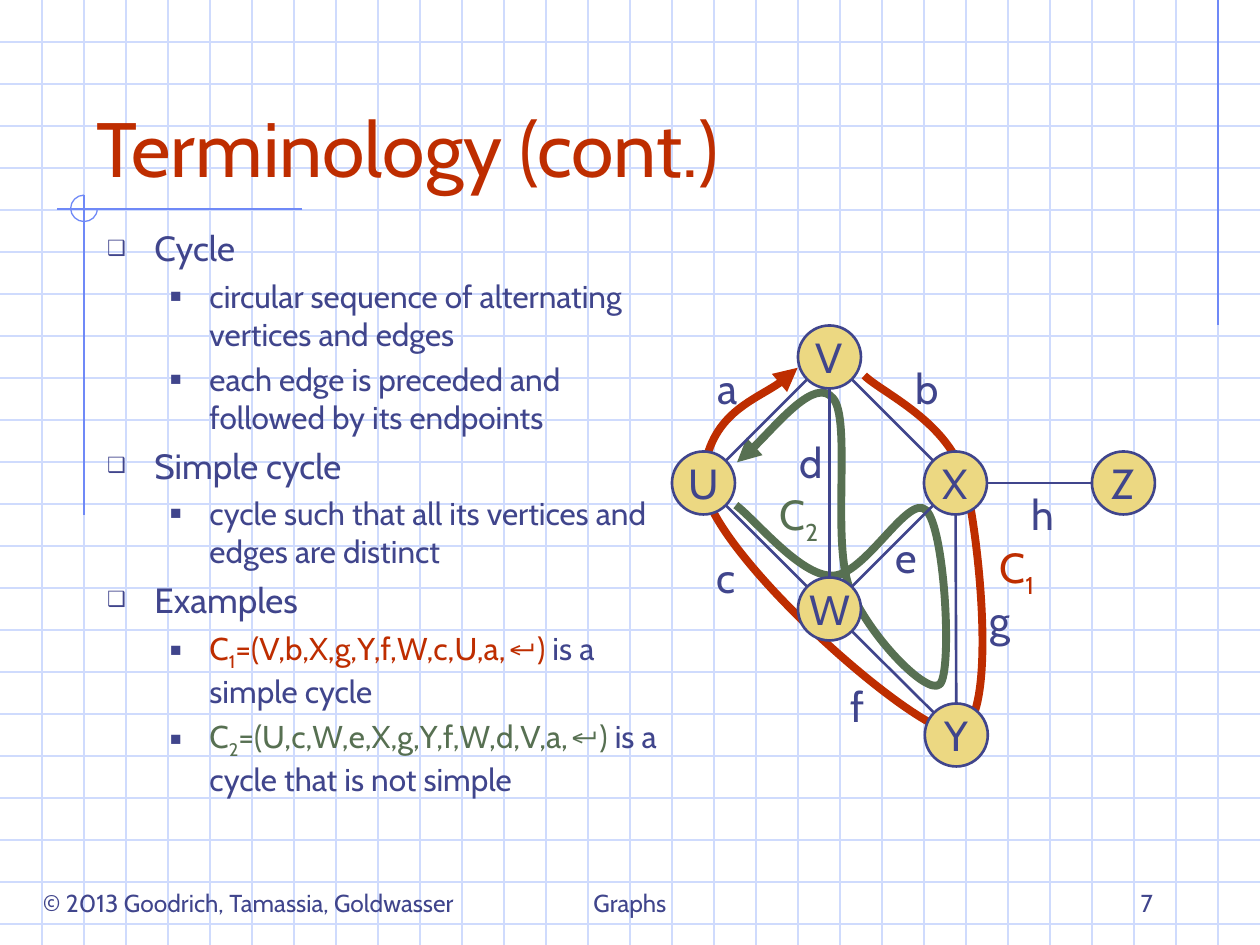
"""Build the graph terminology slide about cycles."""
from math import hypot

from lxml.etree import SubElement
from pptx import Presentation
from pptx.dml.color import RGBColor
from pptx.enum.shapes import MSO_CONNECTOR, MSO_SHAPE
from pptx.enum.text import MSO_ANCHOR as Anchor, MSO_AUTO_SIZE as AutoSize, PP_ALIGN as Align
from pptx.oxml.ns import qn
from pptx.util import Pt

INK = RGBColor(0x40, 0x45, 0x8C)
RED = RGBColor(0xBE, 0x2D, 0x00)
GREEN = RGBColor(0x57, 0x70, 0x52)
GOLD = RGBColor(0xEC, 0xD8, 0x82)
GRID = RGBColor(0xCF, 0xDB, 0xFD)
BLUE = RGBColor(0x6F, 0x89, 0xF7)
FONT = "Cabin"
WIDTH, HEIGHT, STEP, RADIUS = 720, 540, 24, 18

TITLE = "Terminology (cont.)"


def cycle_spans(number, members, ending, color):
    return [("C", color), (number, color, -25), (f"=({members},", color),
            ("↵", color, 0, "Arial"), (")", color), (ending, INK)]


BULLETS = [
    (0, [("Cycle", INK)]),
    (1, [("circular sequence of alternating vertices and edges", INK)]),
    (1, [("each edge is preceded and followed by its endpoints", INK)]),
    (0, [("Simple cycle", INK)]),
    (1, [("cycle such that all its vertices and edges are distinct", INK)]),
    (0, [("Examples", INK)]),
    (1, cycle_spans("1", "V,b,X,g,Y,f,W,c,U,a", " is a simple cycle", RED)),
    (1, cycle_spans("2", "U,c,W,e,X,g,Y,f,W,d,V,a", " is a cycle that is not simple", GREEN)),
]
LEVELS = [("❑", 20, 27, -27, 5), ("■", 18, 58.5, -22.5, 4.5)]

FOOTERS = [
    ("© 2013 Goodrich, Tamassia, Goldwasser", (2.2, 504, 279.4, 24.5), Align.CENTER, Anchor.TOP, False),
    ("Graphs", (246, 492, 228, 36), Align.CENTER, Anchor.BOTTOM, True),
    ("7", (516, 492, 150, 36), Align.RIGHT, Anchor.BOTTOM, True),
]
RULES = [((696, 0), (696, 186)), ((172.8, 119.4), (32.4, 119.4)), ((48, 111.5), (48, 294.5))]
RING = [(48, 111.5), (43.9, 111.5), (40.4, 115), (40.4, 119.1),
        (40.4, 123.2), (43.9, 126.6), (48, 126.6), (52.1, 126.6), (55.6, 123.6), (55.6, 119.4)]

VERTICES = {"X": (546, 276), "U": (402, 276), "V": (474, 204),
            "W": (474, 348), "Z": (642, 276), "Y": (546.5, 420)}
EDGES = ["VU", "WU", "WX", "XZ", "VX", "VW", "WY", "XY"]
LABELS = [
    ("a", (401.8, 203.8, 27.4)), ("c", (401.8, 311.8, 25.9)), ("b", (515.5, 203.8, 28.8)),
    ("e", (504, 300.2, 28.1)), ("d", (449.3, 246.2, 28.8)), ("f", (478.8, 385.2, 22.3)),
    ("g", (557.3, 336.2, 28.8)), ("h", (581.8, 275.8, 28.8)),
]
CYCLE_LABELS = [("1", RED, (562.3, 306, 37.4)), ("2", GREEN, (437.8, 275.8, 37.4))]
CYCLE_1 = [
    (493.9, 214.6), (504, 224.6), (542.9, 241.2), (551.5, 275),
    (560.2, 309.6), (571, 419), (545.8, 418.3), (521.3, 418.3), (398.9, 309.6), (401.8, 272.9),
    (405.4, 236.2), (445, 223.2), (455.8, 210.2),
]
CYCLE_2 = [
    (421.2, 264.2), (430.6, 257.8), (465.8, 215.3), (475.9, 227.5),
    (486.7, 239), (475.2, 308.2), (485.3, 335.5), (495.4, 362.2), (529.9, 398.2), (537.1, 391),
    (544.3, 383.8), (540, 301.7), (529.2, 291.6), (519.1, 281.5), (493.9, 329.8), (475.2, 329),
    (457.2, 329), (432, 297.4), (420.5, 288.7),
]


def write_span(para, size, text, color, baseline=0, font=FONT):
    span = para.add_run()
    span.text = text
    span.font.size, span.font.name = Pt(size), font
    span.font.color.rgb = color
    if baseline:
        span._r.get_or_add_rPr().set("baseline", str(baseline * 1000))


def write(para, spans, size):
    for span in spans:
        write_span(para, size, *span)


def add_label(page, spans, place, size=24, align=Align.CENTER, anchor=Anchor.TOP, wrap=False):
    frame = page.shapes.add_textbox(*map(Pt, place)).text_frame
    frame.word_wrap, frame.vertical_anchor = wrap, anchor
    frame.paragraphs[0].alignment = align
    write(frame.paragraphs[0], spans, size)


def add_line(page, start, end, color, width):
    line = page.shapes.add_connector(MSO_CONNECTOR.STRAIGHT, *map(Pt, (*start, *end)))
    line.line.color.rgb, line.line.width = color, Pt(width)
    SubElement(line._element.spPr, qn("a:effectLst"))


def add_curve(page, points, color, width, arrow=None):
    start, *rest = [(Pt(x), Pt(y)) for x, y in points]
    builder = page.shapes.build_freeform(*start)
    builder.add_line_segments(rest, close=False)
    curve = builder.convert_to_shape()
    curve.shadow.inherit = False
    curve.fill.background()
    curve.line.color.rgb, curve.line.width = color, Pt(width)
    outline = next(curve._element.iter(qn("a:path")))
    segments = outline.findall(qn("a:lnTo"))
    for index, segment in enumerate(segments):
        if index % 3 == 0:
            bezier = SubElement(outline, qn("a:cubicBezTo"))
        bezier.append(segment[0])
        outline.remove(segment)
    if arrow:
        SubElement(curve._element.spPr.find(qn("a:ln")), qn(arrow), type="triangle")


def add_vertex(page, name, center):
    left, top = (value - RADIUS for value in center)
    vertex = page.shapes.add_shape(MSO_SHAPE.OVAL, *map(Pt, (left, top, 2 * RADIUS, 2 * RADIUS)))
    vertex.shadow.inherit = False
    vertex.fill.solid()
    vertex.fill.fore_color.rgb = GOLD
    vertex.line.color.rgb, vertex.line.width = INK, Pt(1.5)
    frame = vertex.text_frame
    frame.word_wrap, frame.vertical_anchor = False, Anchor.MIDDLE
    frame.paragraphs[0].alignment = Align.CENTER
    write(frame.paragraphs[0], [(name, INK)], 24)


def add_edge(page, first, second):
    (x1, y1), (x2, y2) = VERTICES[first], VERTICES[second]
    trim = RADIUS / hypot(x2 - x1, y2 - y1)
    dx, dy = (x2 - x1) * trim, (y2 - y1) * trim
    add_line(page, (x1 + dx, y1 + dy), (x2 - dx, y2 - dy), INK, 1.5)


def bring_forward(page, box, place, anchor):
    page.shapes._spTree.append(box._element)
    box.left, box.top, box.width, box.height = map(Pt, place)
    frame = box.text_frame
    frame.auto_size, frame.word_wrap, frame.vertical_anchor = AutoSize.NONE, True, anchor
    return frame


def fill_bullets(frame):
    for index, (level, spans) in enumerate(BULLETS):
        mark, size, margin, indent, before = LEVELS[level]
        para = frame.add_paragraph() if index else frame.paragraphs[0]
        para.level = level
        settings = para._p.get_or_add_pPr()
        settings.set("marL", str(Pt(margin)))
        settings.set("indent", str(Pt(indent)))
        SubElement(SubElement(settings, qn("a:buClr")), qn("a:srgbClr"), val=str(INK))
        SubElement(settings, qn("a:buSzPct"), val="60000")
        SubElement(settings, qn("a:buChar"), char=mark)
        para.space_before = Pt(before if index else 0)
        para.alignment = Align.LEFT
        write(para, spans, size)


def main():
    deck = Presentation()
    deck.slide_width, deck.slide_height = Pt(WIDTH), Pt(HEIGHT)
    page = deck.slides.add_slide(deck.slide_layouts[1])
    for y in range(STEP, HEIGHT, STEP):
        add_line(page, (0, y), (WIDTH, y), GRID, 0.75)
    for x in range(STEP, WIDTH, STEP):
        add_line(page, (x, 0), (x, HEIGHT), GRID, 0.75)
    for start, end in RULES:
        add_line(page, start, end, BLUE, 0.75)
    add_curve(page, RING, BLUE, 0.75)
    for text, place, align, anchor, wrap in FOOTERS:
        add_label(page, [(text, INK)], place, 14, align, anchor, wrap)
    add_curve(page, CYCLE_1, RED, 4.5, "a:tailEnd")
    title = bring_forward(page, page.shapes.title, (48, 24, 612, 90), Anchor.BOTTOM)
    title.paragraphs[0].alignment = Align.LEFT
    write(title.paragraphs[0], [(TITLE, RED)], 44)
    fill_bullets(bring_forward(page, page.placeholders[1], (54, 126, 330, 348), Anchor.TOP))
    add_curve(page, CYCLE_2, GREEN, 4.5, "a:headEnd")
    for name, center in VERTICES.items():
        add_vertex(page, name, center)
    for first, second in EDGES:
        add_edge(page, first, second)
    for text, place in LABELS:
        add_label(page, [(text, INK)], (*place, 36))
    for number, color, place in CYCLE_LABELS:
        add_label(page, [("C", color), (number, color, -25)], (*place, 40))
    deck.save("out.pptx")


if __name__ == "__main__":
    main()
